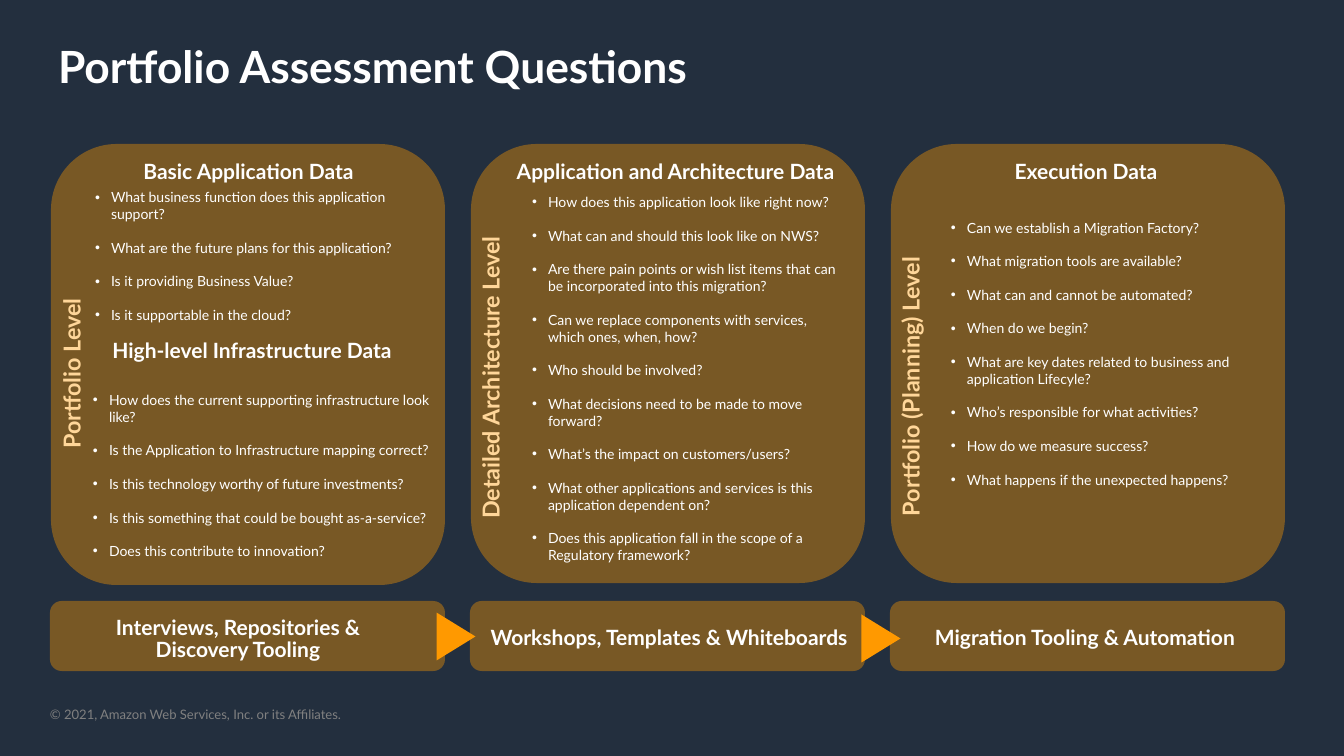
"""Build the portfolio assessment questions slide."""
import pptx
import pptx.dml.color
import pptx.enum.shapes
import pptx.enum.text
import pptx.oxml
import pptx.oxml.ns
import pptx.util

SCALE = 914400 / 84
COLUMN_STEP = 420
ORANGE, PALE_ORANGE, WHITE = "FF9900", "FFD699", "FFFFFF"
SHAPES = pptx.enum.shapes.MSO_SHAPE
ALIGN = pptx.enum.text.PP_ALIGN
ANCHOR = pptx.enum.text.MSO_ANCHOR


def color(value):
    return pptx.dml.color.RGBColor.from_string(value)


def write(box, frame, text, size, fill=WHITE, bold=True, align=ALIGN.CENTER, wrap=False, inset=0):
    box.left, box.top, box.width, box.height = [round(n * SCALE) for n in frame]
    body = box.text_frame
    body.text = text
    body.word_wrap = wrap
    body.auto_size = pptx.enum.text.MSO_AUTO_SIZE.NONE
    body.margin_left = body.margin_right = body.margin_top = body.margin_bottom = round(inset * SCALE)
    for para in body.paragraphs:
        para.alignment = align
        for span in para.runs:
            span.font.name = "Lato"
            span.font.size = pptx.util.Pt(size)
            span.font.bold = bold
            span.font.color.rgb = color(fill)


deck = pptx.Presentation()
deck.slide_width = round(1344 * SCALE)
deck.slide_height = round(756 * SCALE)
page = deck.slides.add_slide(deck.slide_layouts.get_by_name("Comparison"))
page.background.fill.solid()
page.background.fill.fore_color.rgb = color("232F3E")

title = page.shapes.title
write(title, (50, 26, 1242, 80), "Portfolio Assessment Questions", 38,
      align=ALIGN.LEFT, wrap=True, inset=8)
title.text_frame.vertical_anchor = ANCHOR.MIDDLE

panels = []
for column in range(3):
    shift = column * COLUMN_STEP
    panels.append((SHAPES.ROUNDED_RECTANGLE, (51 + shift, 144, 394, 439 if column else 441), 0, 39))
    panels.append((SHAPES.ROUNDED_RECTANGLE, (50 + shift, 601, 395, 70), 0, 39))
panels.append((SHAPES.ISOSCELES_TRIANGLE, (432, 617, 48, 39), 90, 100))
panels.append((SHAPES.ISOSCELES_TRIANGLE, (857, 619, 48, 39), 90, 100))
for kind, frame, turn, opacity in panels:
    panel = page.shapes.add_shape(kind, *[round(n * SCALE) for n in frame])
    panel.shadow.inherit = False
    panel.rotation = turn
    panel.line.fill.background()
    panel.fill.solid()
    panel.fill.fore_color.rgb = color(ORANGE)
    if opacity < 100:
        tint = panel.element.spPr.find(".//" + pptx.oxml.ns.qn("a:srgbClr"))
        tint.append(pptx.oxml.parse_xml(
            f'<a:alpha {pptx.oxml.ns.nsdecls("a")} val="{opacity * 1000}"/>'))

headings = [
    ((137, 161, 223, 23), "Basic Application Data"),
    ((102, 340, 300, 23), "High-level Infrastructure Data"),
    ((506, 161, 339, 23), "Application and Architecture Data"),
    ((1011, 161, 150, 23), "Execution Data"),
    ((71, 617, 334, 46), "Interviews, Repositories & Discovery Tooling"),
    ((478, 627, 382, 23), "Workshops, Templates & Whiteboards"),
    ((922, 627, 326, 23), "Migration Tooling & Automation"),
]
levels = [
    ((0, 361, 146, 25), "Portfolio Level"),
    ((341, 365, 302, 25), "Detailed Architecture Level"),
    ((769, 374, 286, 25), "Portfolio (Planning) Level"),
]
labels = [(*heading, 18, WHITE, 0) for heading in headings]
labels += [(*level, 20, PALE_ORANGE, 270) for level in levels]
for frame, text, size, fill, turn in labels:
    label = page.shapes.add_textbox(0, 0, 0, 0)
    write(label, frame, text, size, fill, wrap=frame[3] > 40)
    label.rotation = turn
    label.text_frame.paragraphs[0].line_spacing = 0.9

questions = [
    ((95, 188, 340, 136), [
        "What business function does this application support?",
        "What are the future plans for this application?",
        "Is it providing Business Value?",
        "Is it supportable in the cloud?",
    ]),
    ((93, 374, 340, 203), [
        "How does the current supporting infrastructure look like?",
        "Is the Application to Infrastructure mapping correct?",
        "Is this technology worthy of future investments?",
        "Is this something that could be bought as-a-service?",
        "Does this contribute to innovation?",
    ]),
    ((532, 192, 311, 373), [
        "How does this application look like right now?",
        "What can and should this look like on NWS?",
        "Are there pain points or wish list items that can be incorporated into this migration?",
        "Can we replace components with services, which ones, when, how?",
        "Who should be involved?",
        "What decisions need to be made to move forward?",
        "What’s the impact on customers/users?",
        "What other applications and services is this application dependent on?",
        "Does this application fall in the scope of a Regulatory framework?",
    ]),
    ((951, 218, 311, 271), [
        "Can we establish a Migration Factory?",
        "What migration tools are available?",
        "What can and cannot be automated?",
        "When do we begin?",
        "What are key dates related to business and application Lifecyle?",
        "Who’s responsible for what activities?",
        "How do we measure success?",
        "What happens if the unexpected happens?",
    ]),
]
bodies = [box for box in page.placeholders if box.placeholder_format.idx > 0]
for box, (frame, items) in zip(bodies, questions):
    write(box, frame, "\n".join(items), 12, bold=False, align=ALIGN.LEFT, wrap=True)
    box.text_frame.vertical_anchor = ANCHOR.MIDDLE
    for number, para in enumerate(box.text_frame.paragraphs):
        layout = para._p.get_or_add_pPr()
        layout.set("marL", str(round(16 * SCALE)))
        layout.set("indent", str(round(-16 * SCALE)))
        for bullet in ('buFont {} typeface="Arial"', 'buChar {} char="•"'):
            layout.append(pptx.oxml.parse_xml(f'<a:{bullet.format(pptx.oxml.ns.nsdecls("a"))}/>'))
        para.space_before = pptx.util.Pt(14.4 if number else 0)
        para.space_after = pptx.util.Pt(0)
    page.shapes.element.append(box.element)

footer = page.shapes.add_textbox(0, 0, 0, 0)
write(footer, (50, 706, 654, 16), "© 2021, Amazon Web Services, Inc. or its Affiliates.", 11.2,
      "808080", bold=False, align=ALIGN.LEFT, wrap=True)

deck.save("out.pptx")
